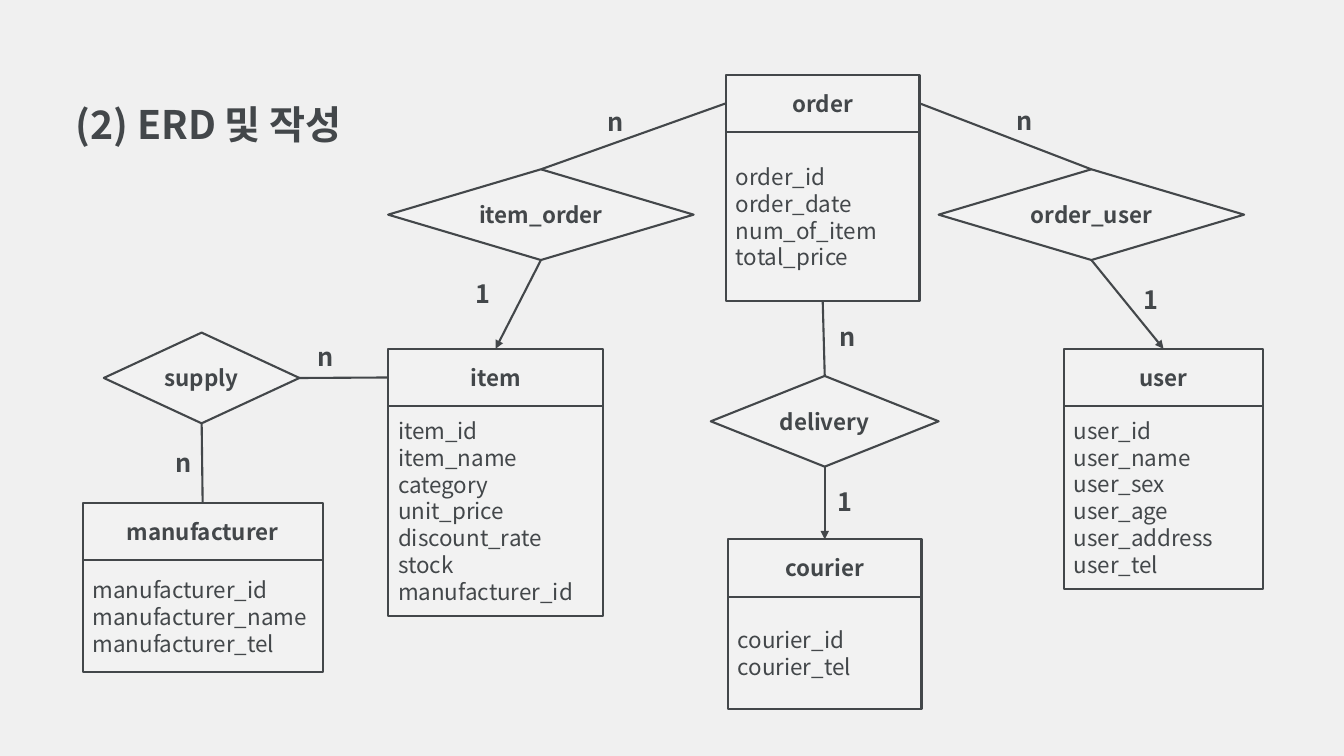
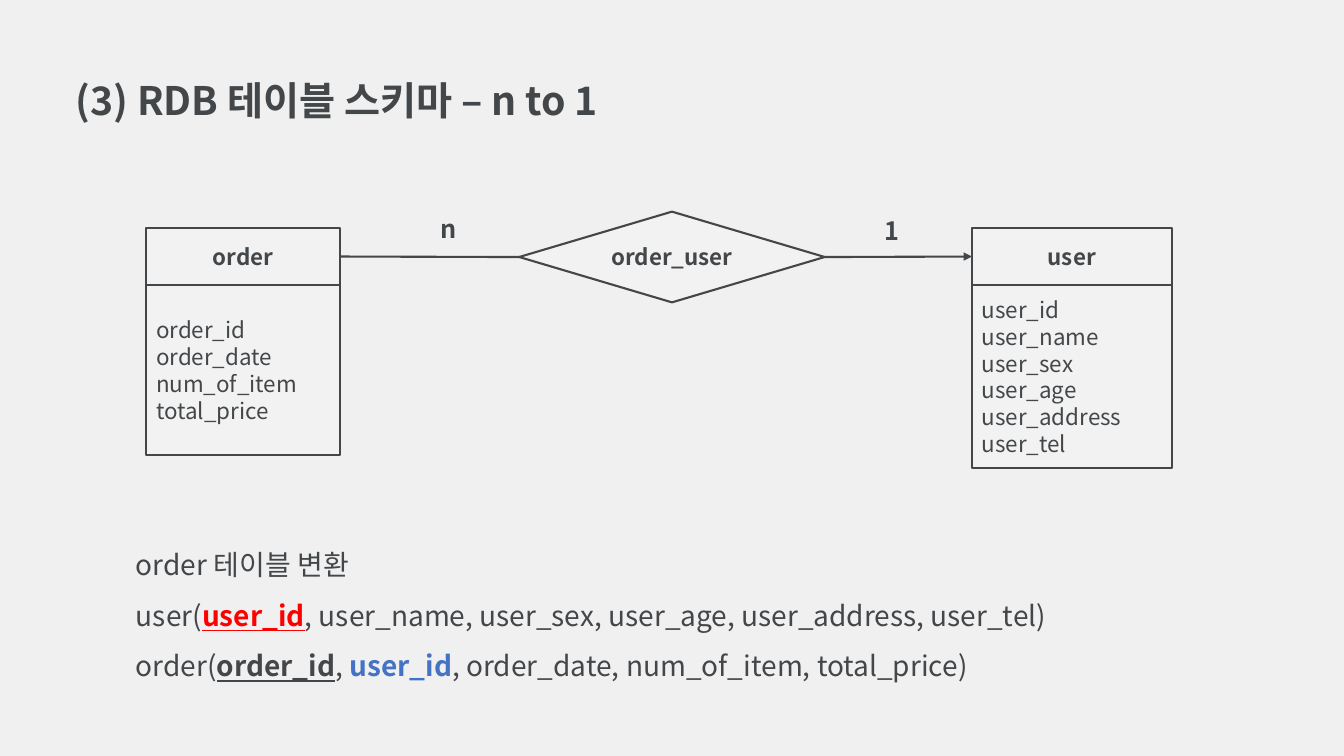
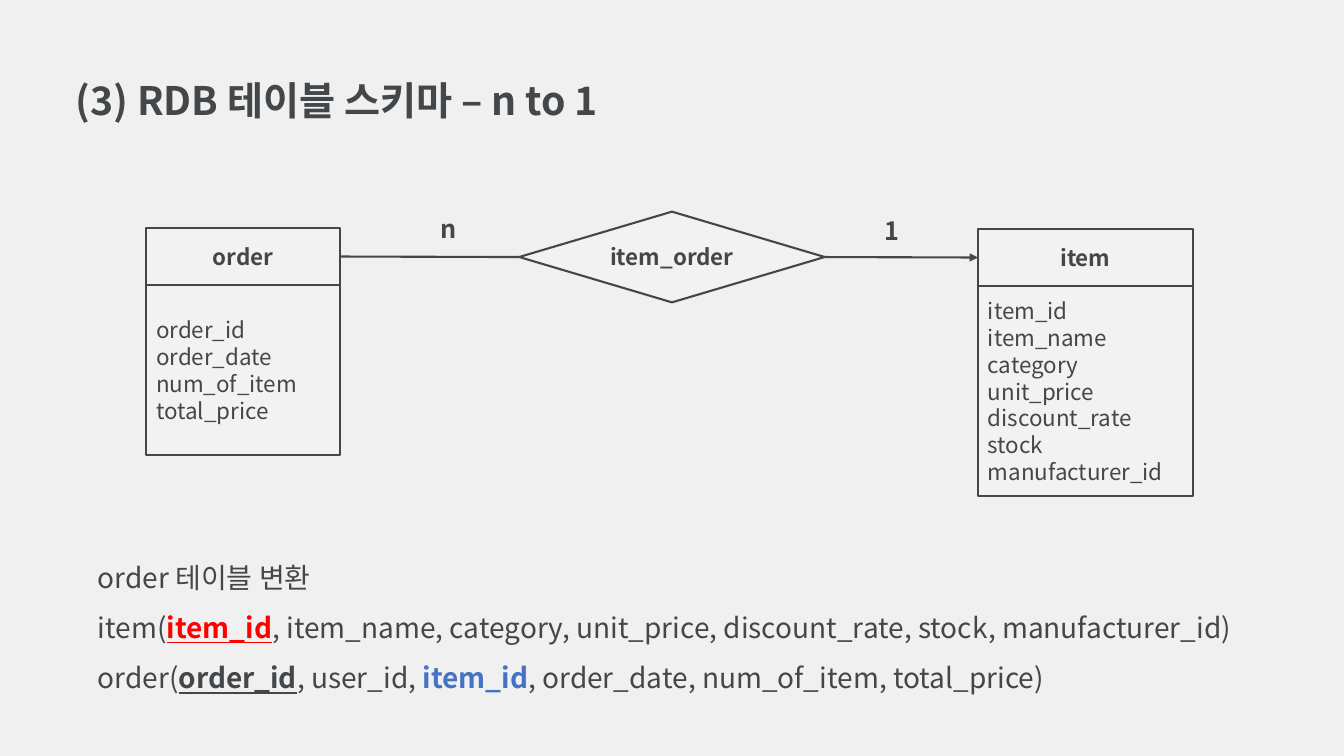
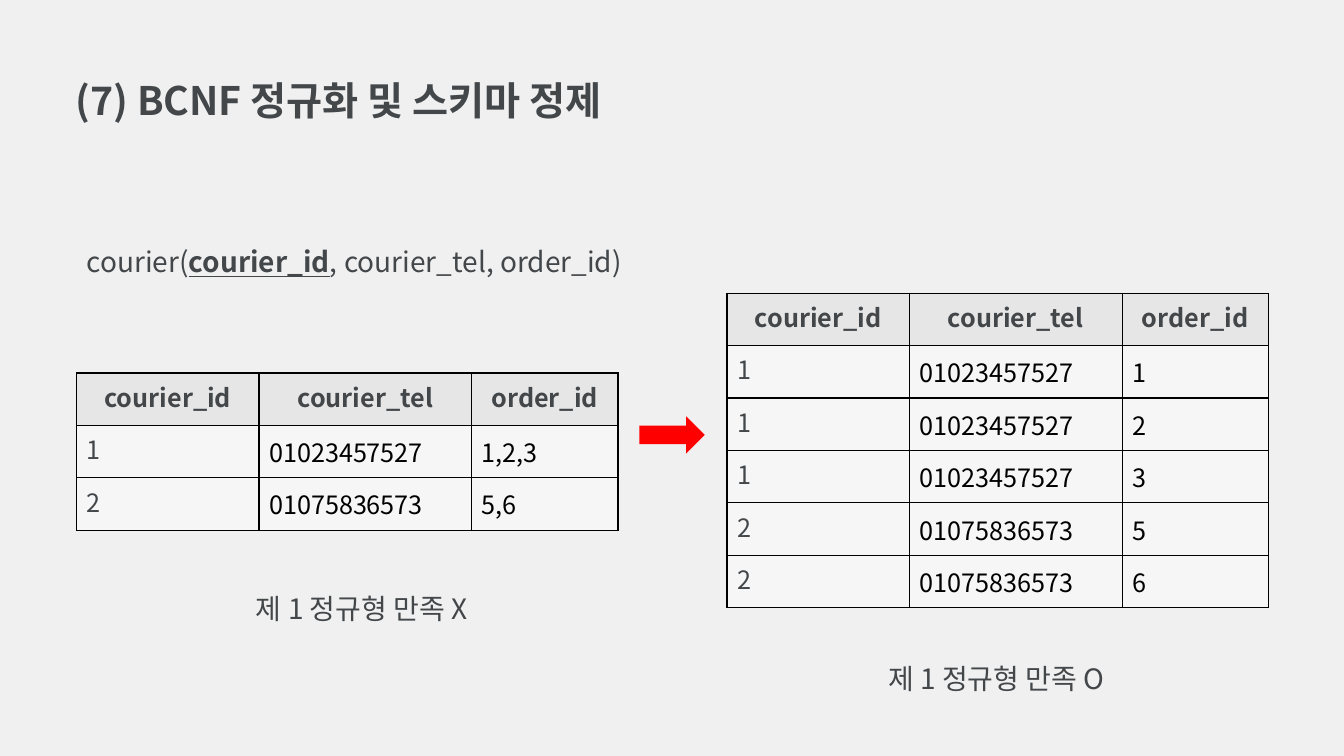
from lxml.etree import SubElement
from pptx import Presentation
from pptx.dml.color import RGBColor
from pptx.enum.shapes import MSO_CONNECTOR, MSO_SHAPE
from pptx.enum.text import MSO_ANCHOR, MSO_AUTO_SIZE, PP_ALIGN
from pptx.oxml.ns import qn
from pptx.util import Inches, Pt

FONT = "Noto Sans CJK KR"
COLORS = {
    "background": "F0F0F0", "ink": "43474A", "box": "F2F2F2", "black": "000000",
    "red": "FF0000", "blue": "4472C4", "header": "E7E6E6", "cell": "F6F6F6",
}

# Run styles: colour, bold, underline
PLAIN = ("ink", False, False)
BOLD = ("ink", True, False)
KEY = ("ink", True, True)
SHARED_KEY = ("red", True, True)
FOREIGN_KEY = ("blue", True, False)

# Entities: width, body height, fields
HEADER_HEIGHT = 0.57
ENTITIES = {
    "manufacturer": (2.38, 1.11, ["manufacturer_id", "manufacturer_name", "manufacturer_tel"]),
    "item": (2.13, 2.08, ["item_id", "item_name", "category", "unit_price",
                          "discount_rate", "stock", "manufacturer_id"]),
    "user": (1.98, 1.81, ["user_id", "user_name", "user_sex", "user_age",
                          "user_address", "user_tel"]),
    "courier": (1.92, 1.11, ["courier_id", "courier_tel"]),
    "order": (1.92, 1.68, ["order_id", "order_date", "num_of_item", "total_price"]),
}

# Relations: width of the diamond
DIAMOND_HEIGHT = 0.9
RELATIONS = {"supply": 1.94, "delivery": 2.26, "item_order": 3.03, "order_user": 3.03}

# Connection sites of rectangles and diamonds
TOP, LEFT, BOTTOM, RIGHT = range(4)

# Diagrams: places by name; links are (from, site, to, site, arrow); labels are (text, left, top)
ERD = {
    "entities": {"manufacturer": (0.82, 4.99), "item": (3.85, 3.46), "user": (10.55, 3.46),
                 "courier": (7.22, 5.35), "order": (7.2, 0.74)},
    "relations": {"supply": (1.03, 3.3), "delivery": (7.05, 3.73),
                  "item_order": (3.85, 1.68), "order_user": (9.31, 1.68)},
    "links": [
        ("item", LEFT, "supply", RIGHT, False),
        ("supply", BOTTOM, "manufacturer", TOP, False),
        ("order", LEFT, "item_order", TOP, False),
        ("item_order", BOTTOM, "item", TOP, True),
        ("order_user", TOP, "order", RIGHT, False),
        ("order_user", BOTTOM, "user", TOP, True),
        ("delivery", TOP, "order", BOTTOM, False),
        ("delivery", BOTTOM, "courier", TOP, True),
    ],
    "labels": [("n", 9.98, 1), ("1", 11.24, 2.77), ("n", 8.23, 3.14), ("1", 8.21, 4.78),
               ("n", 5.93, 1.01), ("1", 4.62, 2.71), ("n", 3.05, 3.34), ("n", 1.64, 4.39)],
}


def many_to_one(relation, target, target_place):
    return {
        "entities": {"order": (1.45, 2.26), target: target_place},
        "relations": {relation: (5.15, 2.1)},
        "links": [(relation, LEFT, "order", RIGHT, False),
                  (relation, RIGHT, target, LEFT, True)],
        "labels": [("n", 4.27, 2.07), ("1", 8.67, 2.09)],
    }


# Schema slides: diagram, box of the schema text, lines of runs
SCHEMA_TITLE = "(3) RDB 테이블 스키마 – n to 1"
SCHEMA_SLIDES = [
    (many_to_one("order_user", "user", (9.64, 2.26)), (1.25, 5.22, 9.53, 1.56), [
        [("order 테이블 변환", PLAIN)],
        [("user(", PLAIN), ("user_id", SHARED_KEY),
         (", user_name, user_sex, user_age, user_address, user_tel)", PLAIN)],
        [("order(", PLAIN), ("order_id", KEY), (", ", PLAIN), ("user_id", FOREIGN_KEY),
         (", order_date, num_of_item, total_price)", PLAIN)],
    ]),
    (many_to_one("item_order", "item", (9.7, 2.27)), (0.87, 5.34, 12.08, 1.56), [
        [("order 테이블 변환", PLAIN)],
        [("item(", PLAIN), ("item_id", SHARED_KEY),
         (", item_name, category, unit_price, discount_rate, stock, manufacturer_id)", PLAIN)],
        [("order(", PLAIN), ("order_id", KEY), (", user_id, ", PLAIN), ("item_id", FOREIGN_KEY),
         (", order_date, num_of_item, total_price)", PLAIN)],
    ]),
]

# Normalisation slide
COURIER_SCHEMA = [[("courier(", PLAIN), ("courier_id", KEY),
                   (", courier_tel, order_id)", PLAIN)]]
COLUMNS = [("courier_id", 1.81), ("courier_tel", 2.11), ("order_id", 1.45)]
ROW_HEIGHT = 0.52
FIRST_TEL, SECOND_TEL = "01023457527", "01075836573"
# Tables: left, top, rows, caption, caption box
TABLES = [
    (0.76, 3.7, [("1", FIRST_TEL, "1,2,3"), ("2", SECOND_TEL, "5,6")],
     "제 1 정규형 만족 X", (2.44, 5.65, 2.33, 0.55)),
    (7.21, 2.91, [("1", FIRST_TEL, "1"), ("1", FIRST_TEL, "2"), ("1", FIRST_TEL, "3"),
                  ("2", SECOND_TEL, "5"), ("2", SECOND_TEL, "6")],
     "제 1 정규형 만족 O", (8.71, 6.35, 2.37, 0.55)),
]


# Text and shape helpers
def color(name):
    return RGBColor.from_string(COLORS[name])


def write(frame, lines, size, align=PP_ALIGN.LEFT, spacing=None):
    for index, runs in enumerate(lines):
        paragraph = frame.paragraphs[0] if index == 0 else frame.add_paragraph()
        paragraph.alignment = align
        if spacing:
            paragraph.line_spacing = spacing
        for text, (color_name, bold, underline) in runs:
            run = paragraph.add_run()
            run.text = text
            font = run.font
            font.name, font.size, font.bold, font.underline = FONT, Pt(size), bold, underline
            font.color.rgb = color(color_name)
            east_asian = SubElement(run._r.get_or_add_rPr(), qn("a:ea"))
            east_asian.set("typeface", FONT)
            run._r.rPr.find(qn("a:latin")).addnext(east_asian)


def add_text(slide, box, lines, size, spacing=None, wrap=True):
    frame = slide.shapes.add_textbox(*map(Inches, box)).text_frame
    frame.word_wrap = wrap
    write(frame, lines, size, spacing=spacing)


def add_box(shapes, preset, box, lines, align=PP_ALIGN.CENTER):
    shape = shapes.add_shape(preset, *map(Inches, box))
    shape.shadow.inherit = False
    shape.fill.solid()
    shape.fill.fore_color.rgb = color("box")
    shape.line.color.rgb = color("ink")
    shape.line.width = Pt(1.5)
    shape.text_frame.vertical_anchor = MSO_ANCHOR.MIDDLE
    write(shape.text_frame, lines, 16, align)
    return shape


def add_titled_slide(presentation, title, width, spacing=None):
    slide = presentation.slides.add_slide(presentation.slide_layouts[5])
    placeholder = slide.shapes.title
    placeholder.left, placeholder.top = Inches(0.65), Inches(0.71)
    placeholder.width, placeholder.height = Inches(width), Inches(0.72 if spacing else 0.57)
    frame = placeholder.text_frame
    frame.word_wrap = True
    frame.auto_size = MSO_AUTO_SIZE.NONE
    frame.vertical_anchor = MSO_ANCHOR.TOP
    write(frame, [[(title, BOLD)]], 28, spacing=spacing)
    return slide


# Diagram parts
def add_entity(slide, name, left, top):
    width, body_height, fields = ENTITIES[name]
    group = slide.shapes.add_group_shape()
    header = add_box(group.shapes, MSO_SHAPE.RECTANGLE, (left, top, width, HEADER_HEIGHT),
                     [[(name, BOLD)]])
    body = add_box(group.shapes, MSO_SHAPE.RECTANGLE,
                   (left, top + HEADER_HEIGHT, width, body_height),
                   [[(field, PLAIN)] for field in fields], PP_ALIGN.JUSTIFY)
    return {TOP: header, LEFT: header, RIGHT: header, BOTTOM: body}


def add_relation(slide, name, left, top):
    diamond = add_box(slide.shapes, MSO_SHAPE.DIAMOND,
                      (left, top, RELATIONS[name], DIAMOND_HEIGHT), [[(name, BOLD)]])
    return dict.fromkeys((TOP, LEFT, BOTTOM, RIGHT), diamond)


def add_link(slide, start, start_site, end, end_site, arrow):
    connector = slide.shapes.add_connector(MSO_CONNECTOR.STRAIGHT, 0, 0, 0, 0)
    connector.begin_connect(start, start_site)
    connector.end_connect(end, end_site)
    connector.line.color.rgb = color("ink")
    connector.line.width = Pt(1.5)
    if arrow:
        SubElement(connector.line._get_or_add_ln(), qn("a:tailEnd")).set("type", "triangle")
    SubElement(connector._element.spPr, qn("a:effectLst"))


def add_diagram(slide, diagram):
    nodes = {}
    for name, place in diagram["entities"].items():
        nodes[name] = add_entity(slide, name, *place)
    for name, place in diagram["relations"].items():
        nodes[name] = add_relation(slide, name, *place)
    for start, start_site, end, end_site, arrow in diagram["links"]:
        add_link(slide, nodes[start][start_site], start_site,
                 nodes[end][end_site], end_site, arrow)
    for text, left, top in diagram["labels"]:
        add_text(slide, (left, top, 0.36, 0.4), [[(text, BOLD)]], 18, wrap=False)


# Table parts
def add_borders(cell):
    properties = cell._tc.get_or_add_tcPr()
    for side in ("lnL", "lnR", "lnT", "lnB"):
        line = SubElement(properties, qn(f"a:{side}"), w=str(Pt(1)))
        fill = SubElement(line, qn("a:solidFill"))
        SubElement(fill, qn("a:srgbClr"), val=COLORS["black"])


def add_courier_table(slide, left, top, rows):
    width = sum(column_width for _, column_width in COLUMNS)
    records = [tuple(name for name, _ in COLUMNS), *rows]
    table = slide.shapes.add_table(len(records), len(COLUMNS), Inches(left), Inches(top),
                                   Inches(width), Inches(ROW_HEIGHT * len(records))).table
    table.first_row = table.horz_banding = False
    for column, (_, column_width) in zip(table.columns, COLUMNS):
        column.width = Inches(column_width)
    for row_index, record in enumerate(records):
        table.rows[row_index].height = Inches(ROW_HEIGHT)
        for column_index, text in enumerate(record):
            cell = table.cell(row_index, column_index)
            is_header = row_index == 0
            is_value = not is_header and column_index > 0
            add_borders(cell)
            cell.fill.solid()
            cell.fill.fore_color.rgb = color("header" if is_header else "cell")
            cell.vertical_anchor = MSO_ANCHOR.MIDDLE if is_value else MSO_ANCHOR.TOP
            style = ("black" if is_value else "ink", is_header, False)
            write(cell.text_frame, [[(text, style)]], 18,
                  PP_ALIGN.CENTER if is_header else PP_ALIGN.LEFT)


def main():
    presentation = Presentation()
    presentation.slide_width, presentation.slide_height = Inches(13.33), Inches(7.5)
    background = presentation.slide_master.background.fill
    background.solid()
    background.fore_color.rgb = color("background")

    # Entity relationship diagram
    slide = add_titled_slide(presentation, "(2) ERD 및 작성", 2.96, spacing=1.5)
    add_diagram(slide, ERD)

    # Table schemas
    for diagram, box, lines in SCHEMA_SLIDES:
        slide = add_titled_slide(presentation, SCHEMA_TITLE, 5.44)
        add_diagram(slide, diagram)
        add_text(slide, box, lines, 20, spacing=1.5)

    # Normalisation
    slide = add_titled_slide(presentation, "(7) BCNF 정규화 및 스키마 정제", 5.48)
    add_text(slide, (0.76, 2.21, 5.69, 0.55), COURIER_SCHEMA, 20, spacing=1.5)
    for left, top, rows, caption, caption_box in TABLES:
        add_courier_table(slide, left, top, rows)
        add_text(slide, caption_box, [[(caption, PLAIN)]], 20, spacing=1.5)
    arrow = slide.shapes.add_shape(MSO_SHAPE.RIGHT_ARROW, Inches(6.34), Inches(4.13),
                                   Inches(0.65), Inches(0.37))
    arrow.shadow.inherit = False
    arrow.fill.solid()
    arrow.fill.fore_color.rgb = color("red")
    arrow.line.fill.background()

    presentation.save("out.pptx")


if __name__ == "__main__":
    main()
